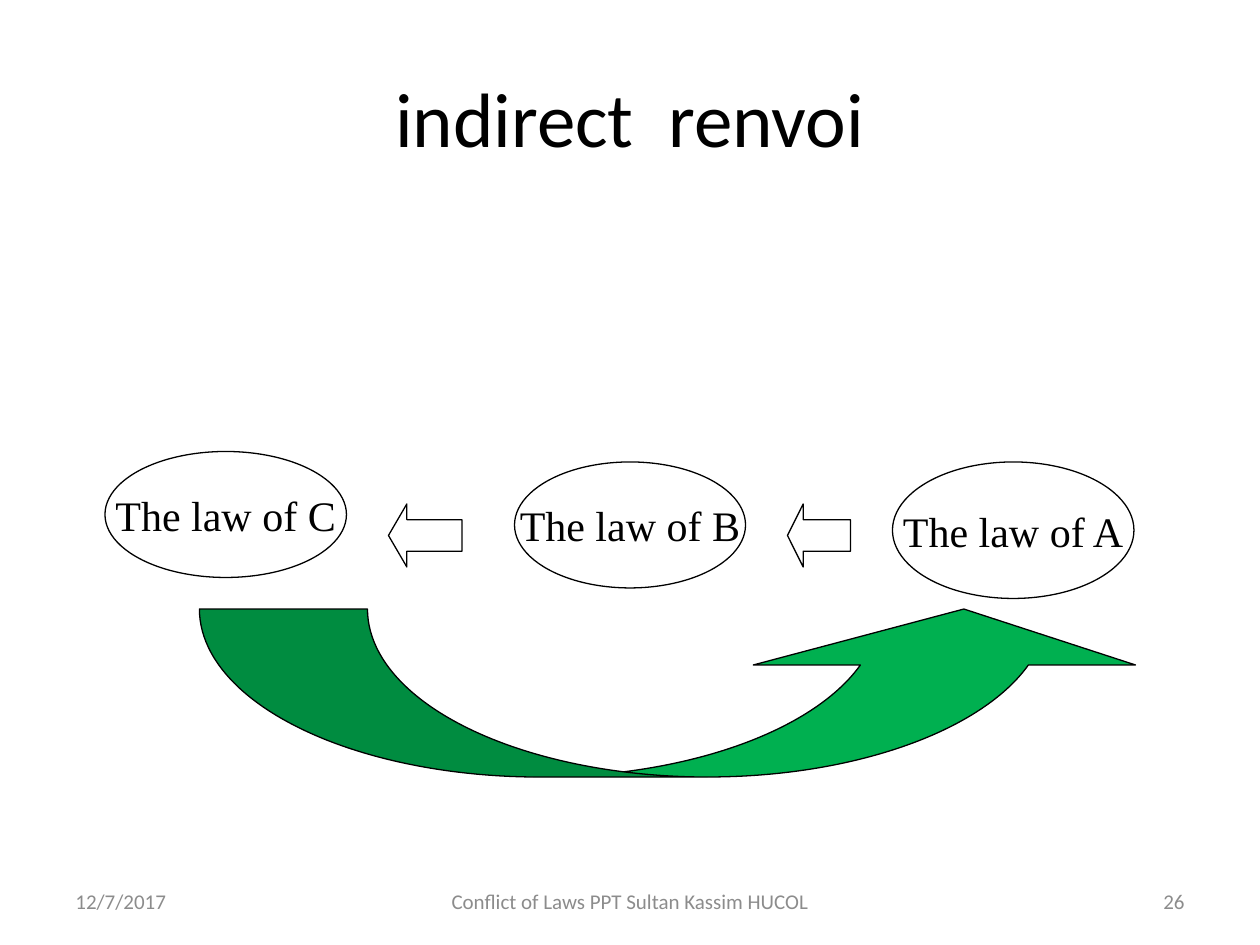
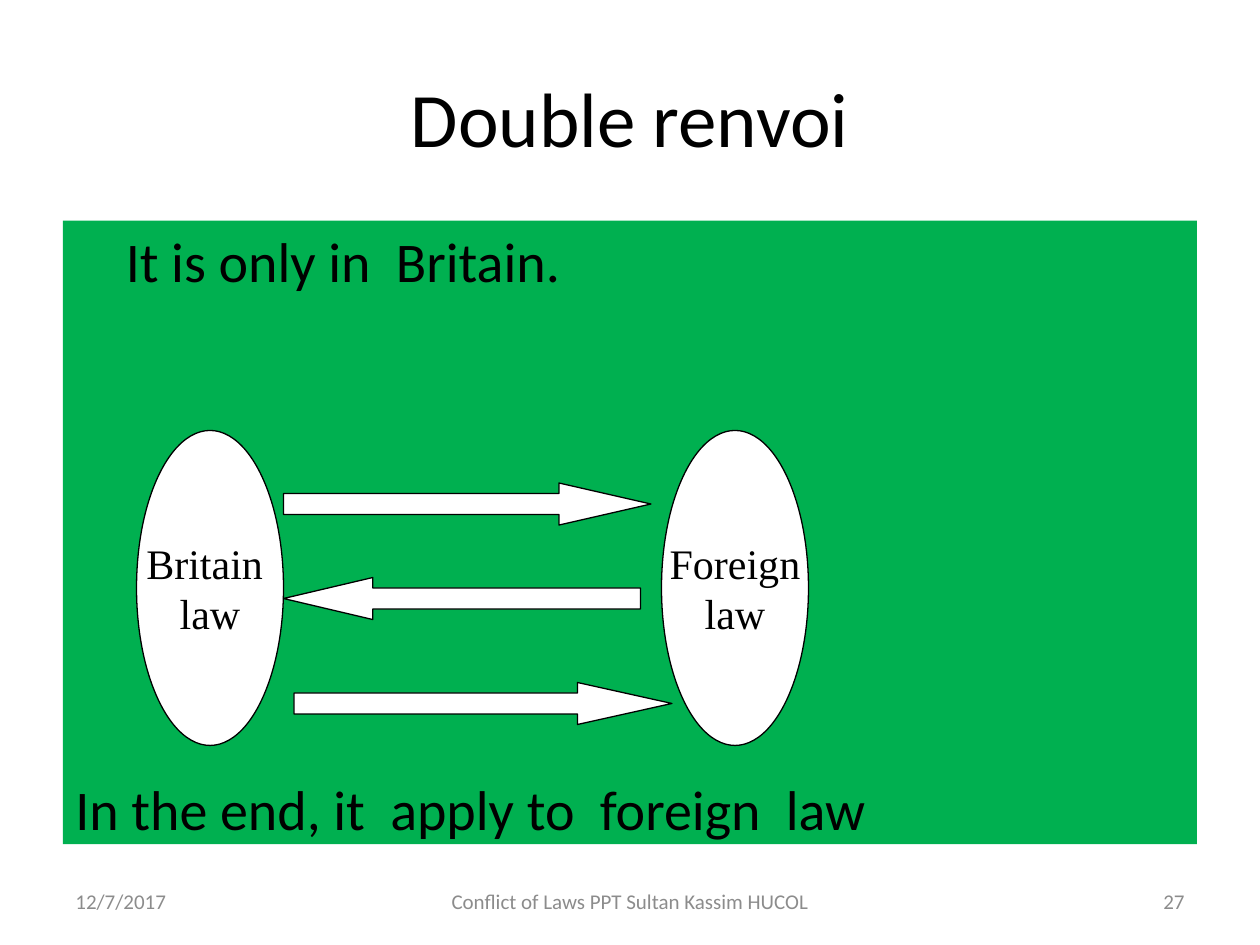
from pptx import Presentation
from pptx.dml.color import RGBColor
from pptx.enum.shapes import MSO_SHAPE
from pptx.enum.text import MSO_ANCHOR, PP_ALIGN
from pptx.util import Inches, Pt

LEFT, CENTER, RIGHT = PP_ALIGN.LEFT, PP_ALIGN.CENTER, PP_ALIGN.RIGHT
TOP, MIDDLE = MSO_ANCHOR.TOP, MSO_ANCHOR.MIDDLE
ELLIPSE = MSO_SHAPE.OVAL
LEFT_ARROW, RIGHT_ARROW = MSO_SHAPE.LEFT_ARROW, MSO_SHAPE.RIGHT_ARROW
CURVED_ARROW = MSO_SHAPE.CURVED_UP_ARROW

CELLS_PER_INCH = 12
BLACK, WHITE, GREEN, GREY = "000000", "FFFFFF", "00B050", "8C8C8C"
SANS, SERIF = "Calibri", "Times New Roman"
DATE = "12/7/2017"
COURSE = "Conflict of Laws PPT Sultan Kassim HUCOL"


def color(value):
    return RGBColor.from_string(value)


def grid(*cells):
    return [Inches(cell / CELLS_PER_INCH) for cell in cells]


def write(frame, lines, size, font, ink=BLACK, align=CENTER, anchor=MIDDLE, wrap=True):
    frame.word_wrap = wrap
    frame.vertical_anchor = anchor
    for index, line in enumerate(lines):
        paragraph = frame.paragraphs[0] if index == 0 else frame.add_paragraph()
        paragraph.alignment = align
        run = paragraph.add_run()
        run.text = line
        run.font.size = Pt(size)
        run.font.name = font
        run.font.color.rgb = color(ink)


def add_text(slide, area, lines, size, **style):
    box = slide.shapes.add_textbox(*grid(*area))
    write(box.text_frame, lines, size, SANS, **style)
    return box


def add_outlined(slide, kind, area, fill=WHITE):
    shape = slide.shapes.add_shape(kind, *grid(*area))
    shape.shadow.inherit = False
    shape.fill.solid()
    shape.fill.fore_color.rgb = color(fill)
    shape.line.color.rgb = color(BLACK)
    shape.line.width = Pt(0.75)
    return shape


def add_law(slide, area, *lines):
    law = add_outlined(slide, ELLIPSE, area)
    write(law.text_frame, lines, 24, SERIF, wrap=False)


def add_reference(slide, kind, area):
    arrow = add_outlined(slide, kind, area)
    width, height = area[2:]
    arrow.adjustments[0] = 0.5
    arrow.adjustments[1] = width / height / 4


def add_return(slide, area):
    arrow = add_outlined(slide, CURVED_ARROW, area, GREEN)
    band = area[2] / area[3] / 5
    for index, value in enumerate((band, 2 * band, 1 / 3)):
        arrow.adjustments[index] = value


def add_page(deck, title, number):
    slide = deck.slides.add_slide(deck.slide_layouts[6])
    add_text(slide, (6, 3.6, 108, 15), [title], 44)
    footers = ((6, 28, DATE, LEFT), (86, 28, str(number), RIGHT), (41, 38, COURSE, CENTER))
    for left, width, words, align in footers:
        add_text(slide, (left, 83.4, width, 4.8), [words], 12, ink=GREY, align=align)
    return slide


def add_indirect_renvoi(deck):
    slide = add_page(deck, "indirect  renvoi", 26)
    add_law(slide, (10, 43, 23, 12), "The law of C")
    add_law(slide, (49, 44, 22, 12), "The law of B")
    add_law(slide, (85, 44, 23, 13), "The law of A")
    for left, width in ((75, 6), (37, 7)):
        add_reference(slide, LEFT_ARROW, (left, 48, width, 6))
    add_return(slide, (19, 58, 91, 16))


def add_double_renvoi(deck):
    slide = add_page(deck, "Double renvoi", 27)
    lines = ["It is only in  Britain.", "In the end, it  apply to  foreign  law"]
    panel = add_text(slide, (6, 21, 108, 59.4), lines, 32, align=LEFT, anchor=TOP)
    panel.fill.solid()
    panel.fill.fore_color.rgb = color(GREEN)
    opening, conclusion = panel.text_frame.paragraphs
    opening._p.get_or_add_pPr().set("indent", str(Inches(0.4)))
    conclusion.space_before = Pt(274.5)
    for left, country in ((13, "Britain "), (63, "Foreign")):
        add_law(slide, (left, 41, 14, 30), country, "law")
    add_reference(slide, RIGHT_ARROW, (27, 46, 35, 4))
    add_reference(slide, LEFT_ARROW, (27, 55, 34, 4))
    add_reference(slide, RIGHT_ARROW, (28, 65, 36, 4))


def main():
    deck = Presentation()
    deck.slide_width, deck.slide_height = grid(120, 90)
    add_indirect_renvoi(deck)
    add_double_renvoi(deck)
    deck.save("out.pptx")


if __name__ == "__main__":
    main()
